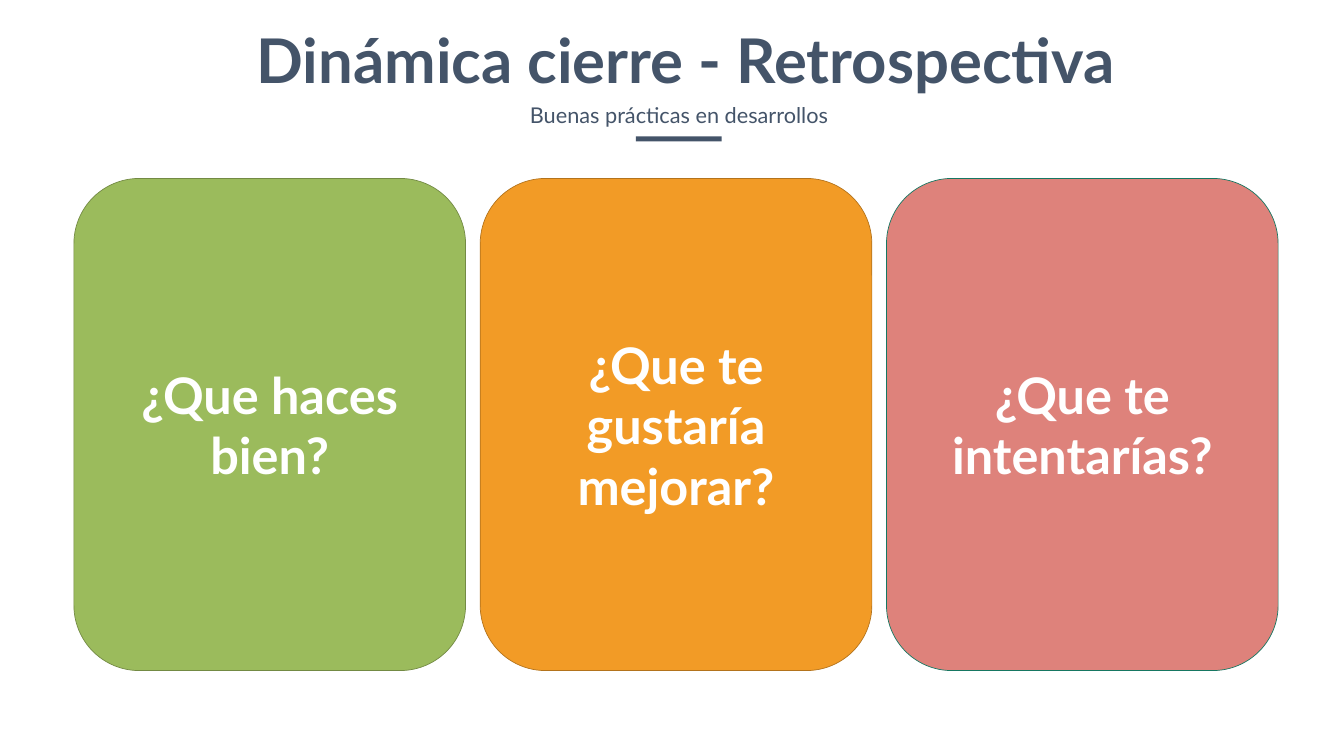
import pptx
import pptx.util
import pptx.dml.color
import pptx.enum.shapes
import pptx.enum.text

RGB = pptx.dml.color.RGBColor
SHAPE = pptx.enum.shapes.MSO_SHAPE
ANCHOR = pptx.enum.text.MSO_ANCHOR
Inches = pptx.util.Inches

SLATE = RGB(0x44, 0x54, 0x69)
WHITE = RGB(0xFF, 0xFF, 0xFF)
GREEN, GREEN_EDGE = RGB(0x9B, 0xBB, 0x5C), RGB(0x73, 0x8A, 0x44)
ORANGE, ORANGE_EDGE = RGB(0xF2, 0x9B, 0x26), RGB(0xB3, 0x73, 0x1C)
CORAL, TEAL_EDGE = RGB(0xDE, 0x82, 0x7B), RGB(0x16, 0x77, 0x62)

WIDTH, HEIGHT = 26.66, 15
CARDS = [
    ("¿Que haces bien?", GREEN, GREEN_EDGE),
    ("¿Que te gustaría mejorar?", ORANGE, ORANGE_EDGE),
    ("¿Que te intentarías?", CORAL, TEAL_EDGE),
]


def write(sp, text, size, color, bold, anchor, wrap, inset=(0.1, 0.05)):
    tf = sp.text_frame
    tf.auto_size = pptx.enum.text.MSO_AUTO_SIZE.NONE
    tf.word_wrap = wrap
    tf.vertical_anchor = anchor
    tf.margin_left = tf.margin_right = Inches(inset[0])
    tf.margin_top = tf.margin_bottom = Inches(inset[1])
    p = tf.paragraphs[0]
    p.alignment = pptx.enum.text.PP_ALIGN.CENTER
    r = p.add_run()
    r.text = text
    r.font.name = "Lato"
    r.font.size = pptx.util.Pt(size)
    r.font.bold = bold
    r.font.color.rgb = color
    return p


def add_block(s, kind, box, fill, edge=None):
    sp = s.shapes.add_shape(kind, *map(Inches, box))
    sp.shadow.inherit = False
    sp.fill.solid()
    sp.fill.fore_color.rgb = fill
    if edge is None:
        sp.line.fill.background()
    else:
        sp.line.color.rgb = edge
        sp.line.width = pptx.util.Pt(1)
    return sp


def add_header(s, left, top, width, height):
    # Title
    sp = s.shapes.title
    sp.left, sp.top = Inches(left), Inches(top)
    sp.width, sp.height = Inches(width), Inches(height * 0.65)
    write(sp, "Dinámica cierre - Retrospectiva", 88, SLATE, True, ANCHOR.TOP, False)

    # Subtitle and rule share a centre line slightly left of the title's
    center = left + width * 0.493
    sub_w, rule_w, rule_h = width * 0.36, 1.7, 0.1
    sp = s.shapes.add_textbox(Inches(center - sub_w / 2), Inches(top + height * 0.584),
                              Inches(sub_w), Inches(height / 3))
    p = write(sp, "Buenas prácticas en desarrollos", 31, SLATE, False,
              ANCHOR.TOP, False, (0.24, 0.12))
    p.line_spacing = 1.2
    add_block(s, SHAPE.RECTANGLE,
              (center - rule_w / 2, top + height - rule_h, rule_w, rule_h), SLATE)


def add_cards(s, left, top, width, height, gap):
    # Equal columns with equal gaps
    card_w = (width - gap * (len(CARDS) - 1)) / len(CARDS)
    for i, (text, fill, edge) in enumerate(CARDS):
        box = (left + i * (card_w + gap), top, card_w, height)
        sp = add_block(s, SHAPE.ROUNDED_RECTANGLE, box, fill, edge)
        write(sp, text, 72, WHITE, True, ANCHOR.MIDDLE, True)


def main():
    prs = pptx.Presentation()
    prs.slide_width, prs.slide_height = Inches(WIDTH), Inches(HEIGHT)
    s = prs.slides.add_slide(prs.slide_layouts[5])
    s.background.fill.solid()
    s.background.fill.fore_color.rgb = WHITE
    add_header(s, WIDTH * 0.16, HEIGHT * 0.025, WIDTH * 0.7, HEIGHT * 0.162)
    add_cards(s, WIDTH * 0.055, HEIGHT * 0.236, WIDTH * 0.896, HEIGHT * 0.651, 0.29)
    prs.save("out.pptx")


if __name__ == "__main__":
    main()
